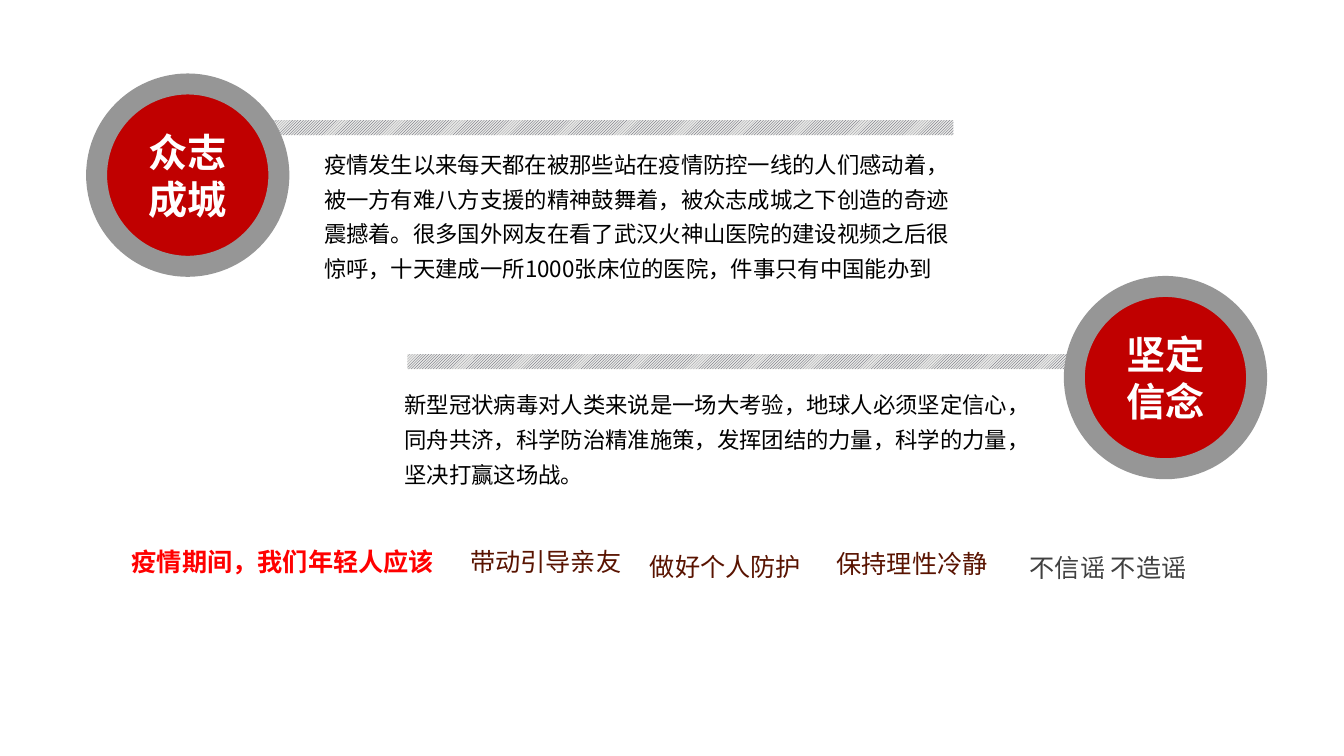
from lxml import etree
from pptx import Presentation
from pptx.dml.color import RGBColor
from pptx.enum.dml import MSO_PATTERN
from pptx.enum.shapes import MSO_SHAPE
from pptx.enum.text import MSO_ANCHOR, MSO_AUTO_SIZE, PP_ALIGN
from pptx.oxml.ns import qn
from pptx.util import Inches, Pt

RECTANGLE, OVAL = MSO_SHAPE.RECTANGLE, MSO_SHAPE.OVAL
LEFT, CENTER, JUSTIFY = PP_ALIGN.LEFT, PP_ALIGN.CENTER, PP_ALIGN.JUSTIFY
MIDDLE = MSO_ANCHOR.MIDDLE
GROW = MSO_AUTO_SIZE.SHAPE_TO_FIT_TEXT
HATCH = MSO_PATTERN.LIGHT_UPWARD_DIAGONAL

THEME = {
    "font": "Noto Sans CJK SC",
    "badge": "C00000", "ring": "969696", "badge_text": "FFFFFF",
    "hatch_front": "414455", "hatch_back": "E8E8E6",
    "body": "000000", "lead": "FF0000", "advice": "591300", "quiet": "404040",
    "badge_size": 28, "body_size": 16, "advice_size": 18, "ring_width": 15,
}
COLUMNS, ROWS = 160, 90
CELL = Inches(1 / 12)


def cells(*counts):
    return [round(count * CELL) for count in counts]


def write(shape, text, size, color, bold=False, align=LEFT, spacing=None):
    frame = shape.text_frame
    frame.word_wrap = True
    frame.text = text
    paragraph = frame.paragraphs[0]
    paragraph.alignment = align
    if spacing:
        paragraph.line_spacing = spacing
    font = paragraph.runs[0].font
    font.name = THEME["font"]
    font.size = Pt(THEME[size])
    font.bold = bold
    font.color.rgb = RGBColor.from_string(THEME[color])
    properties = paragraph.runs[0]._r.get_or_add_rPr()
    etree.SubElement(properties, qn("a:ea")).set("typeface", THEME["font"])


presentation = Presentation()
presentation.slide_width, presentation.slide_height = cells(COLUMNS, ROWS)
slide = presentation.slides.add_slide(presentation.slide_layouts[6])

for column, row in [(48.5, 42.15), (31.3, 14.3)]:
    bar = slide.shapes.add_shape(RECTANGLE, *cells(column, row, 82.2, 1.8))
    bar.shadow.inherit = False
    bar.fill.patterned()
    bar.fill.pattern = HATCH
    bar.fill.fore_color.rgb = RGBColor.from_string(THEME["hatch_front"])
    bar.fill.back_color.rgb = RGBColor.from_string(THEME["hatch_back"])
    bar.line.fill.background()

sections = [
    ("众志成城", (11.5, 10), (37.4, 16.4, 77.5, 17.6),
     "疫情发生以来每天都在被那些站在疫情防控一线的人们感动着，被一方有难八方支援的精神鼓舞着，"
     "被众志成城之下创造的奇迹震撼着。很多国外网友在看了武汉火神山医院的建设视频之后很惊呼，"
     "十天建成一所1000张床位的医院，件事只有中国能办到"),
    ("坚定信念", (127.9, 34.1), (47, 45, 77.5, 13.4),
     "新型冠状病毒对人类来说是一场大考验，地球人必须坚定信心，同舟共济，科学防治精准施策，"
     "发挥团结的力量，科学的力量，坚决打赢这场战。"),
]
for title, corner, area, body in sections:
    badge = slide.shapes.add_shape(OVAL, *cells(*corner, 21.7, 21.7))
    badge.shadow.inherit = False
    badge.fill.solid()
    badge.fill.fore_color.rgb = RGBColor.from_string(THEME["badge"])
    badge.line.color.rgb = RGBColor.from_string(THEME["ring"])
    badge.line.width = Pt(THEME["ring_width"])
    badge.text_frame.vertical_anchor = MIDDLE
    write(badge, title, "badge_size", "badge_text", True, CENTER)
    box = slide.shapes.add_textbox(*cells(*area))
    write(box, body, "body_size", "body", spacing=1.3)
    box.text_frame.auto_size = GROW

advice = [
    ("疫情期间，我们年轻人应该", (14.5, 64.4, 79.9, 4.8), "lead", True, LEFT, None),
    ("带动引导亲友", (54.8, 64.4, 30.2, 8.5), "advice", False, JUSTIFY, None),
    ("做好个人防护", (76.2, 64.7, 30.2, 5), "advice", False, JUSTIFY, 1.1),
    ("保持理性冷静", (98.4, 64.7, 30.2, 4.8), "advice", False, JUSTIFY, None),
    ("不信谣 不造谣", (121.4, 64.1, 30.2, 5.5), "quiet", False, LEFT, 1.3),
]
for text, area, color, bold, align, spacing in advice:
    box = slide.shapes.add_textbox(*cells(*area))
    write(box, text, "advice_size", color, bold, align, spacing)
    box.text_frame.auto_size = GROW

presentation.save("out.pptx")
